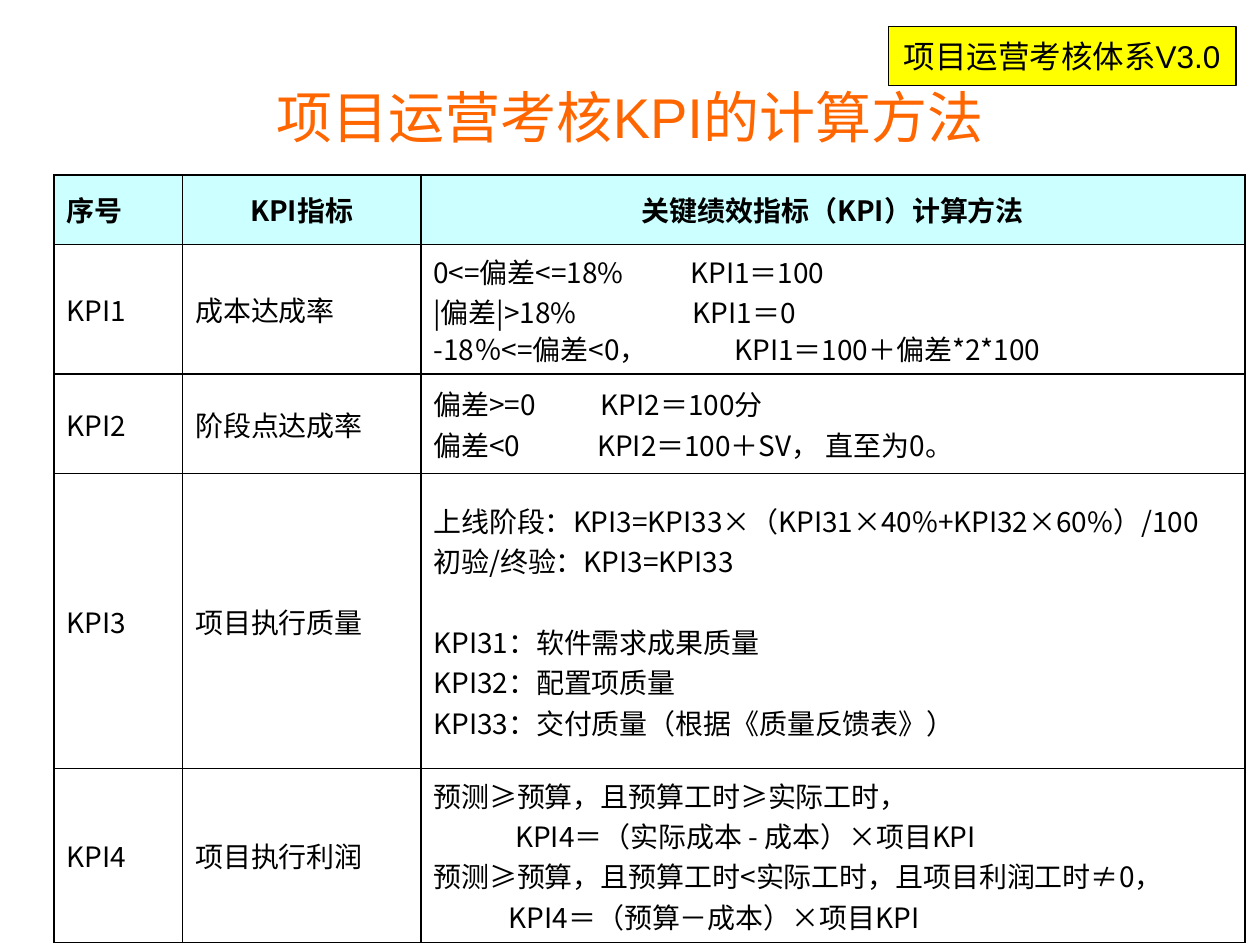
from pptx import Presentation
from pptx.dml.color import RGBColor as Rgb
from pptx.enum.shapes import MSO_SHAPE as Shape
from pptx.enum.text import MSO_ANCHOR as Anchor, PP_ALIGN as Align
from pptx.oxml.ns import qn
from pptx.util import Inches, Pt
from lxml.etree import SubElement as Sub

HUES = {"ink": "000000", "title": "FF6600", "tag": "FFFF00", "head": "CCFFFF"}
SANS, CJK = "Arial", "Noto Sans CJK SC"


def hue(name):
    return Rgb.from_string(HUES[name])


def put(para, text, size=16, font=CJK, color="ink", bold=False, align=None,
        tab=None, indent=None, before=None, space=None):
    """Write one formatted run, with an optional tab stop or indent in inches."""
    para.alignment = align
    if space:
        para.line_spacing = space
    if before:
        para.space_before = Pt(before)
    props = para._p.get_or_add_pPr()
    if indent:
        props.set("marL", str(Inches(indent)))
        props.set("indent", "0")
    if tab:
        stops = Sub(props, qn("a:tabLst"))
        Sub(stops, qn("a:tab"), pos=str(Inches(tab)), algn="l")
    run = para.add_run()
    run.text = text
    face = run.font
    face.size, face.name, face.bold = Pt(size), font, bold
    face.color.rgb = hue(color)
    Sub(run._r.get_or_add_rPr(), qn("a:ea"), typeface=CJK)


class Deck:
    def __init__(self, wide, high):
        self.prs = Presentation()
        self.prs.slide_width, self.prs.slide_height = Inches(wide), Inches(high)
        self.slide = self.prs.slides.add_slide(self.prs.slide_layouts[6])
        self.line = 1

    def title(self, text, *box):
        shape = self.slide.shapes.add_textbox(*map(Inches, box))
        frame = shape.text_frame
        frame.word_wrap = True
        frame.vertical_anchor = Anchor.MIDDLE
        put(frame.paragraphs[0], text, size=32, font=SANS, color="title",
            align=Align.CENTER)

    def tag(self, text, *box):
        shape = self.slide.shapes.add_shape(Shape.FLOWCHART_PROCESS,
                                            *map(Inches, box))
        shape.shadow.inherit = False
        shape.fill.solid()
        shape.fill.fore_color.rgb = hue("tag")
        shape.line.color.rgb = hue("ink")
        shape.line.width = Pt(0.75)
        frame = shape.text_frame
        frame.word_wrap = False
        frame.vertical_anchor = Anchor.MIDDLE
        put(frame.paragraphs[0], text, size=18, font=SANS, align=Align.CENTER)

    def edge(self, cell):
        props = cell._tc.get_or_add_tcPr()
        for spot, side in enumerate(("lnL", "lnR", "lnT", "lnB")):
            line = Sub(props, qn("a:" + side), w=str(Pt(self.line)))
            Sub(Sub(line, qn("a:solidFill")), qn("a:srgbClr"), val=HUES["ink"])
            props.insert(spot, line)

    def cell(self, cell, lines, head=False, align=None):
        cell.vertical_anchor = Anchor.MIDDLE
        if head:
            cell.fill.solid()
            cell.fill.fore_color.rgb = hue("head")
        else:
            cell.fill.background()
        self.edge(cell)
        frame = cell.text_frame
        for num, (text, style) in enumerate(lines):
            para = frame.add_paragraph() if num else frame.paragraphs[0]
            put(para, text, bold=head, align=align, **style)

    def table(self, left, top, cols, rows, data):
        grid = self.slide.shapes.add_table(
            len(rows), len(cols), Inches(left), Inches(top),
            Inches(sum(cols)), Inches(sum(rows))).table
        grid.first_row = grid.horz_banding = False
        for col, wide in zip(grid.columns, cols):
            col.width = Inches(wide)
        for row, high in zip(grid.rows, rows):
            row.height = Inches(high)
        for r, (code, name, lines) in enumerate(data):
            for c, part in enumerate(([(code, {})], [(name, {})], lines)):
                mid = Align.CENTER if r == 0 and c else None
                self.cell(grid.cell(r, c), part, head=r == 0, align=mid)


# Rows: code, indicator, lines of the method with their format
DATA = [
    ("序号", "KPI指标", [("关键绩效指标（KPI）计算方法", {})]),
    ("KPI1", "成本达成率", [
        ("0<=偏差<=18%\tKPI1＝100", {"tab": 2.04}),
        ("|偏差|>18%\tKPI1＝0", {"tab": 2.06}),
        ("-18％<=偏差<0，\tKPI1＝100＋偏差*2*100",
         {"tab": 2.39, "space": 0.9})]),
    ("KPI2", "阶段点达成率", [
        ("偏差>=0\tKPI2＝100分", {"tab": 1.33}),
        ("偏差<0\tKPI2＝100＋SV， 直至为0。", {"tab": 1.3})]),
    ("KPI3", "项目执行质量", [
        ("上线阶段：KPI3=KPI33×（KPI31×40%+KPI32×60%）/100", {}),
        ("初验/终验：KPI3=KPI33", {}),
        ("KPI31：软件需求成果质量", {"before": 23}),
        ("KPI32：配置项质量", {}),
        ("KPI33：交付质量（根据《质量反馈表》）", {})]),
    ("KPI4", "项目执行利润", [
        ("预测≥预算，且预算工时≥实际工时，", {}),
        ("KPI4＝（实际成本 - 成本）×项目KPI", {"indent": 0.65}),
        ("预测≥预算，且预算工时<实际工时，且项目利润工时≠0，", {}),
        ("KPI4＝（预算－成本）×项目KPI", {"indent": 0.6})]),
]

deck = Deck(10, 7.5)

# Title and version tag
deck.title("项目运营考核KPI的计算方法", 0.5, 0.3, 9, 1.25)
deck.tag("项目运营考核体系V3.0", 7.05, 0.21, 2.76, 0.47)

# KPI table
deck.table(0.43, 1.39, (1.02, 1.89, 6.54), (0.55, 1.03, 0.79, 2.34, 1.38), DATA)

deck.prs.save("out.pptx")
